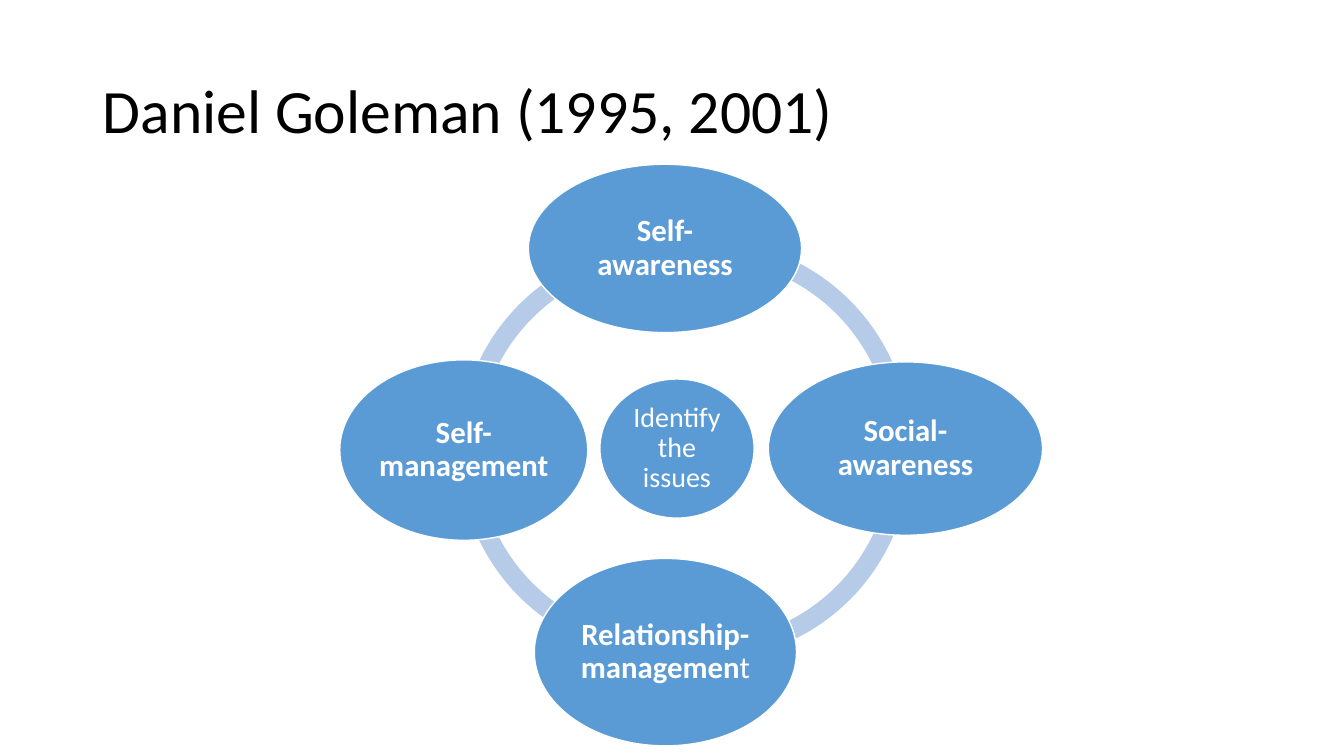
from pptx import Presentation
from pptx.dml.color import RGBColor
from pptx.enum.shapes import MSO_SHAPE
from pptx.enum.text import MSO_ANCHOR, PP_ALIGN
from pptx.util import Emu, Pt

EMU_PER_PX = 9144
BLUE, PALE_BLUE, WHITE, BLACK = "5B9BD5", "B5CBE7", "FFFFFF", "000000"
ARC_SIZE, ARC_THICKNESS = 410, 0.046

ARCS = [
    (455, 242, 108, 162),
    (455, 242, 54, 108),
    (493, 245, 215.05, 60.48),
    (493, 238, 155.54, 0.27),
]
CENTRE_FORMAT = {"size": Pt(20), "bold": False}
COMPETENCE_FORMAT = {"size": Pt(22), "bold": True}
ELLIPSES = [
    ((595, 376, 153, 138), [("Identify the issues", CENTRE_FORMAT)]),
    ((524, 163, 271, 167), [("Self-awareness", COMPETENCE_FORMAT)]),
    ((762, 359, 272, 172), [("Social-awareness", COMPETENCE_FORMAT)]),
    ((530, 554, 260, 186), [("Relationship-managemen", COMPETENCE_FORMAT),
                            ("t", {**COMPETENCE_FORMAT, "bold": False})]),
    ((337, 357, 246, 179), [("Self-management", COMPETENCE_FORMAT)]),
]


def px(length):
    """Turn a length in px into EMU."""
    return Emu(length * EMU_PER_PX)


def color(hex_string):
    """Turn a hex string into a colour."""
    return RGBColor.from_string(hex_string)


def set_format(target, values):
    """Set each attribute named in a dict of format values."""
    for name, value in values.items():
        setattr(target, name, value)


def write_text(shape, runs, hex_string, alignment, frame_format):
    """Write one paragraph of formatted runs into a shape."""
    frame = shape.text_frame
    set_format(frame, {"word_wrap": True, "vertical_anchor": MSO_ANCHOR.MIDDLE,
                       **frame_format})
    paragraph = frame.paragraphs[0]
    set_format(paragraph, {"alignment": alignment, "line_spacing": 0.9})
    for text, run_format in runs:
        run = paragraph.add_run()
        run.text = text
        set_format(run.font, {"name": "Calibri", **run_format})
        run.font.color.rgb = color(hex_string)


def add_filled_shape(slide, kind, box, fill):
    """Add a preset shape with a solid fill and no shadow."""
    shape = slide.shapes.add_shape(kind, *map(px, box))
    shape.shadow.inherit = False
    shape.fill.solid()
    shape.fill.fore_color.rgb = color(fill)
    return shape


def add_arc(slide, left, top, start, end):
    """Add one section of the ring."""
    arc = add_filled_shape(slide, MSO_SHAPE.BLOCK_ARC,
                           (left, top, ARC_SIZE, ARC_SIZE), PALE_BLUE)
    arc.line.fill.background()
    for index, value in enumerate((start, end, ARC_THICKNESS)):
        arc.adjustments[index] = value


def add_ellipse(slide, box, runs):
    """Add a labelled ellipse with a white outline."""
    ellipse = add_filled_shape(slide, MSO_SHAPE.OVAL, box, BLUE)
    ellipse.line.color.rgb = color(WHITE)
    ellipse.line.width = Pt(1)
    margins = {f"margin_{side}": px(3) for side in ("left", "top", "right", "bottom")}
    write_text(ellipse, runs, WHITE, PP_ALIGN.CENTER, margins)


def add_title(slide, text):
    """Add the slide title."""
    title = slide.shapes.add_textbox(*map(px, (92, 40, 1150, 145)))
    write_text(title, [(text, {"size": Pt(44)})], BLACK, PP_ALIGN.LEFT, {})


def main():
    """Build and save the slide."""
    presentation = Presentation()
    set_format(presentation, {"slide_width": px(1333), "slide_height": px(750)})
    slide = presentation.slides.add_slide(presentation.slide_layouts[6])
    add_title(slide, "Daniel Goleman (1995, 2001)")
    for arc in ARCS:
        add_arc(slide, *arc)
    for box, runs in ELLIPSES:
        add_ellipse(slide, box, runs)
    presentation.save("out.pptx")


if __name__ == "__main__":
    main()
